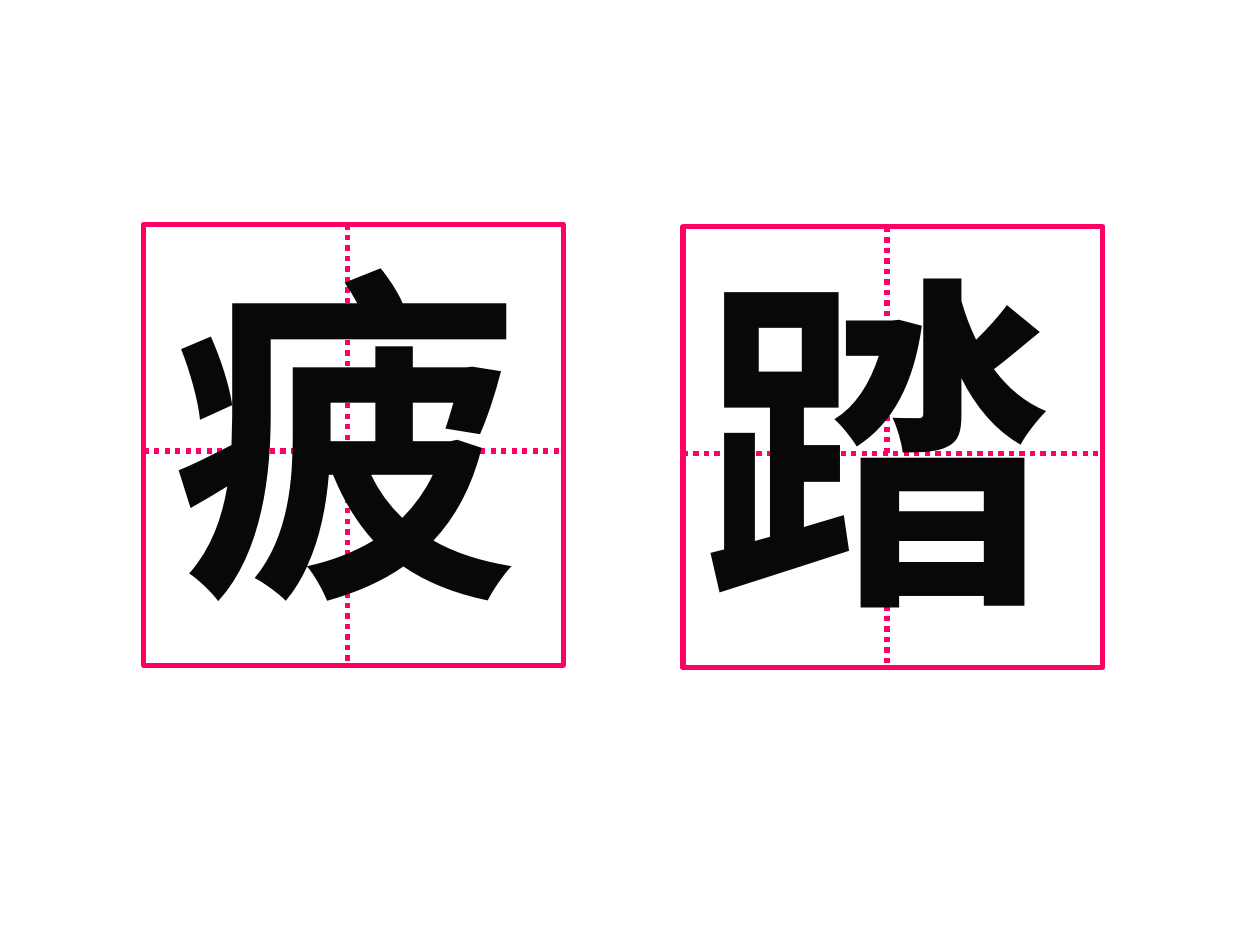
import pptx
import pptx.util
import pptx.dml.color
import pptx.enum.dml
import pptx.enum.shapes
import pptx.enum.text
import pptx.oxml.ns
import lxml.etree

Inches = pptx.util.Inches
Pt = pptx.util.Pt
PINK = "FF0066"
INK = "080808"
WIDE, HIGH = 3.33, 3.5


def tint(code):
    """Turn a hex string into a colour."""
    return pptx.dml.color.RGBColor.from_string(code)


def rule(group, x1, y1, x2, y2):
    """Draw one dotted guide line."""
    line = group.shapes.add_connector(
        pptx.enum.shapes.MSO_CONNECTOR.STRAIGHT,
        Inches(x1), Inches(y1), Inches(x2), Inches(y2))
    line.line.color.rgb = tint(PINK)
    line.line.width = Pt(3)
    line.line.dash_style = pptx.enum.dml.MSO_LINE.ROUND_DOT
    props = line._element.spPr
    lxml.etree.SubElement(props, pptx.oxml.ns.qn("a:effectLst"))


def grid(slide, left, top):
    """Draw a square with its two guide lines."""
    group = slide.shapes.add_group_shape()
    frame = group.shapes.add_shape(
        pptx.enum.shapes.MSO_SHAPE.RECTANGLE,
        Inches(left), Inches(top), Inches(WIDE), Inches(HIGH))
    frame.shadow.inherit = False
    frame.fill.solid()
    frame.fill.fore_color.rgb = tint("FFFFFF")
    frame.line.color.rgb = tint(PINK)
    frame.line.width = Pt(3)
    mid_x, mid_y = left + 1.62, top + 1.8
    rule(group, mid_x, top, mid_x, top + HIGH)
    rule(group, left, mid_y, left + WIDE, mid_y)


def glyph(slide, left, top, text):
    """Write one large character."""
    box = slide.shapes.add_textbox(
        Inches(left), Inches(top), Inches(3.42), Inches(3.44))
    frame = box.text_frame
    frame.word_wrap = True
    frame.auto_size = pptx.enum.text.MSO_AUTO_SIZE.SHAPE_TO_FIT_TEXT
    frame.text = text
    font = frame.paragraphs[0].runs[0].font
    font.name = "Times New Roman"
    font.size = Pt(200)
    font.bold = True
    font.color.rgb = tint(INK)


def main():
    """Build the slide of two characters."""
    deck = pptx.Presentation()
    deck.slide_width, deck.slide_height = Inches(10), Inches(7.5)
    slide = deck.slides.add_slide(deck.slide_layouts[6])
    cards = [("疲", 1.14, 1.78, 0.13, -0.08),
             ("踏", 5.42, 1.8, 0.05, -0.05)]
    for text, left, top, dx, dy in cards:
        grid(slide, left, top)
        glyph(slide, left + dx, top + dy, text)
    deck.save("out.pptx")


if __name__ == "__main__":
    main()
